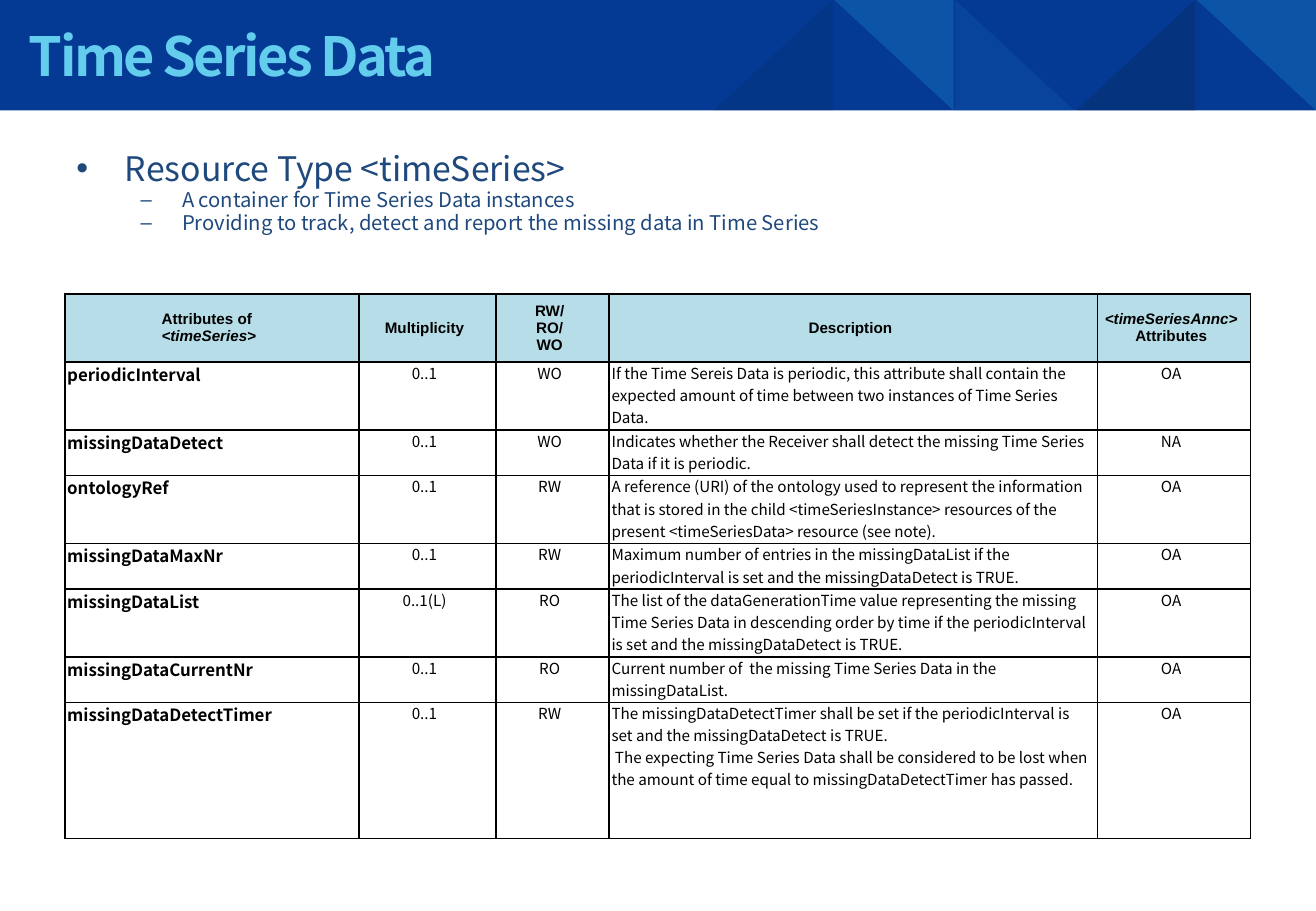
"""Build the Time Series Data slide with its banner, bullets and attribute table."""
from lxml import etree
from pptx import Presentation
from pptx.dml.color import RGBColor
from pptx.enum.shapes import MSO_SHAPE
from pptx.enum.text import MSO_ANCHOR, PP_ALIGN
from pptx.oxml import parse_xml
from pptx.oxml.ns import qn
from pptx.util import Pt

RECT = MSO_SHAPE.RECTANGLE
TRI = MSO_SHAPE.ISOSCELES_TRIANGLE
MIDDLE, TOP = MSO_ANCHOR.MIDDLE, MSO_ANCHOR.TOP
LEFT, CENTER = PP_ALIGN.LEFT, PP_ALIGN.CENTER
NS = "http://schemas.openxmlformats.org/drawingml/2006/main"
SANS, ARIAL = "Noto Sans CJK KR", "Arial"
BLACK, NAVY = "000000", "1F497D"


def paint(fill, color):
    fill.solid()
    fill.fore_color.rgb = RGBColor.from_string(color)


def write(para, text, size, color=BLACK, face=SANS, bold=False, italic=False):
    run = para.add_run()
    run.text = text
    font = run.font
    font.size, font.name, font.bold, font.italic = Pt(size), face, bold, italic
    paint(font.fill, color)
    return run


prs = Presentation()
prs.slide_width, prs.slide_height = Pt(779.76), Pt(540)
slide = prs.slides.add_slide(prs.slide_layouts[6])
shapes = slide.shapes

high = 65.52
banner = shapes.add_shape(RECT, 0, 0, prs.slide_width, Pt(high))
banner.shadow.inherit = False
paint(banner.fill, "043A94")
banner.line.fill.background()

wide, step = 70.56, 71.6
facets = [
    (180, 0, "2EBDE9", 20),
    (0, 1, "0A1828", 20),
    (0, 0, "1B70BD", 20),
    (180, 0, "2EBDE9", 20),
    (270, 0, "0A1828", 10),
]
for i, (turn, apex, color, alpha) in enumerate(facets):
    w, h = (high, wide) if turn == 270 else (wide, high)
    x = 709.2 - i * step + (wide - w) / 2
    facet = shapes.add_shape(TRI, Pt(x), Pt((high - h) / 2), Pt(w), Pt(h))
    facet.adjustments[0] = apex
    facet.rotation = turn
    facet.shadow.inherit = False
    paint(facet.fill, color)
    tint = facet.fill._xPr.find(".//" + qn("a:srgbClr"))
    etree.SubElement(tint, qn("a:alpha"), val=str(alpha * 1000))
    facet.line.fill.background()

title = shapes.add_textbox(Pt(10.08), Pt(9.36), Pt(682.56), Pt(46.08)).text_frame
title.word_wrap = True
title.margin_top = title.margin_bottom = 0
title.vertical_anchor = MIDDLE
head = write(title.paragraphs[0], "Time Series Data", 32, "64CDEE", bold=True)
head.font._element.set("spc", "-150")

body = shapes.add_textbox(Pt(38.16), Pt(88.56), Pt(702.72), Pt(124.56)).text_frame
body.word_wrap = True
points = [
    (0, "Resource Type <timeSeries>"),
    (1, "A container for Time Series Data instances"),
    (1, "Providing to track, detect and report the missing data in Time Series"),
]
levels = [(20, 28.8, 28.8, "•"), (12, 62.64, 24.48, "–")]
for i, (level, text) in enumerate(points):
    size, indent, hang, mark = levels[level]
    para = body.add_paragraph() if i else body.paragraphs[0]
    para.level = level
    para.line_spacing = 0.8
    para.space_before = Pt(size * 0.2)
    props = para._p.get_or_add_pPr()
    props.set("marL", str(Pt(indent)))
    props.set("indent", str(-Pt(hang)))
    etree.SubElement(props, qn("a:buFont"), typeface=ARIAL)
    etree.SubElement(props, qn("a:buChar"), char=mark)
    write(para, text, size, NAVY)

heads = [
    [[("Attributes of \v", False), ("<timeSeries>", True)]],
    [[("Multiplicity", False)]],
    [[("RW/", False)], [("RO/", False)], [("WO", False)]],
    [[("Description", False)]],
    [[("<timeSeriesAnnc>", True), (" Attributes", False)]],
]
rows = [
    ("periodicInterval", "0..1", "WO",
     "If the Time Sereis Data is periodic, this attribute shall contain the "
     "expected amount of time between two instances of Time Series Data.", "OA"),
    ("missingDataDetect", "0..1", "WO",
     "Indicates whether the Receiver shall detect the missing Time Series "
     "Data if it is periodic.", "NA"),
    ("ontologyRef", "0..1", "RW",
     "A reference (URI) of the ontology used to represent the information "
     "that is stored in the child <timeSeriesInstance> resources of the "
     "present <timeSeriesData> resource (see note).", "OA"),
    ("missingDataMaxNr", "0..1", "RW",
     "Maximum number of entries in the missingDataList if the "
     "periodicInterval is set and the missingDataDetect is TRUE.", "OA"),
    ("missingDataList", "0..1(L)", "RO",
     "The list of the dataGenerationTime value representing the missing "
     "Time Series Data in descending order by time if the periodicInterval "
     "is set and the missingDataDetect is TRUE.", "OA"),
    ("missingDataCurrentNr", "0..1", "RO",
     "Current number of  the missing Time Series Data in the "
     "missingDataList.", "OA"),
    ("missingDataDetectTimer", "0..1", "RW",
     "The missingDataDetectTimer shall be set if the periodicInterval is "
     "set and the missingDataDetect is TRUE.\n"
     " The expecting Time Series Data shall be considered to be lost when "
     "the amount of time equal to missingDataDetectTimer has passed.", "OA"),
]
grid = [heads] + [
    [[[(line, False)] for line in text.split("\n")] for text in row] for row in rows
]
widths = [174.24, 81.36, 66.96, 289.44, 90.72]
heights = [40.32, 40.32, 26.93, 40.32, 26.93, 40.32, 26.93, 80.64]
table = shapes.add_table(len(grid), len(widths), Pt(38.4), Pt(174.24),
                         Pt(sum(widths)), Pt(sum(heights))).table
table.first_row = table.horz_banding = False
for col, width in zip(table.columns, widths):
    col.width = Pt(width)
for r, (row, height) in enumerate(zip(grid, heights)):
    table.rows[r].height = Pt(height)
    for c, lines in enumerate(row):
        cell = table.cell(r, c)
        cell.margin_left, cell.margin_right = Pt(1.44), Pt(5.04)
        cell.margin_top = cell.margin_bottom = 0
        cell.vertical_anchor = TOP if r else MIDDLE
        props = cell._tc.get_or_add_tcPr()
        for side in "LRTB":
            props.append(parse_xml(
                f'<a:ln{side} xmlns:a="{NS}" w="{Pt(1)}"><a:solidFill>'
                f'<a:srgbClr val="{BLACK}"/></a:solidFill></a:ln{side}>'))
        if r:
            cell.fill.background()
        else:
            paint(cell.fill, "B7DEE8")
        frame = cell.text_frame
        for i, parts in enumerate(lines):
            para = frame.add_paragraph() if i else frame.paragraphs[0]
            para.alignment = LEFT if r and c in (0, 3) else CENTER
            for text, italic in parts:
                write(para, text.rstrip("\v"), 10 if r and c == 0 else 9,
                      face=SANS if r else ARIAL,
                      bold=r == 0 or c == 0, italic=italic)
                if text.endswith("\v"):
                    para.add_line_break()

prs.save("out.pptx")
